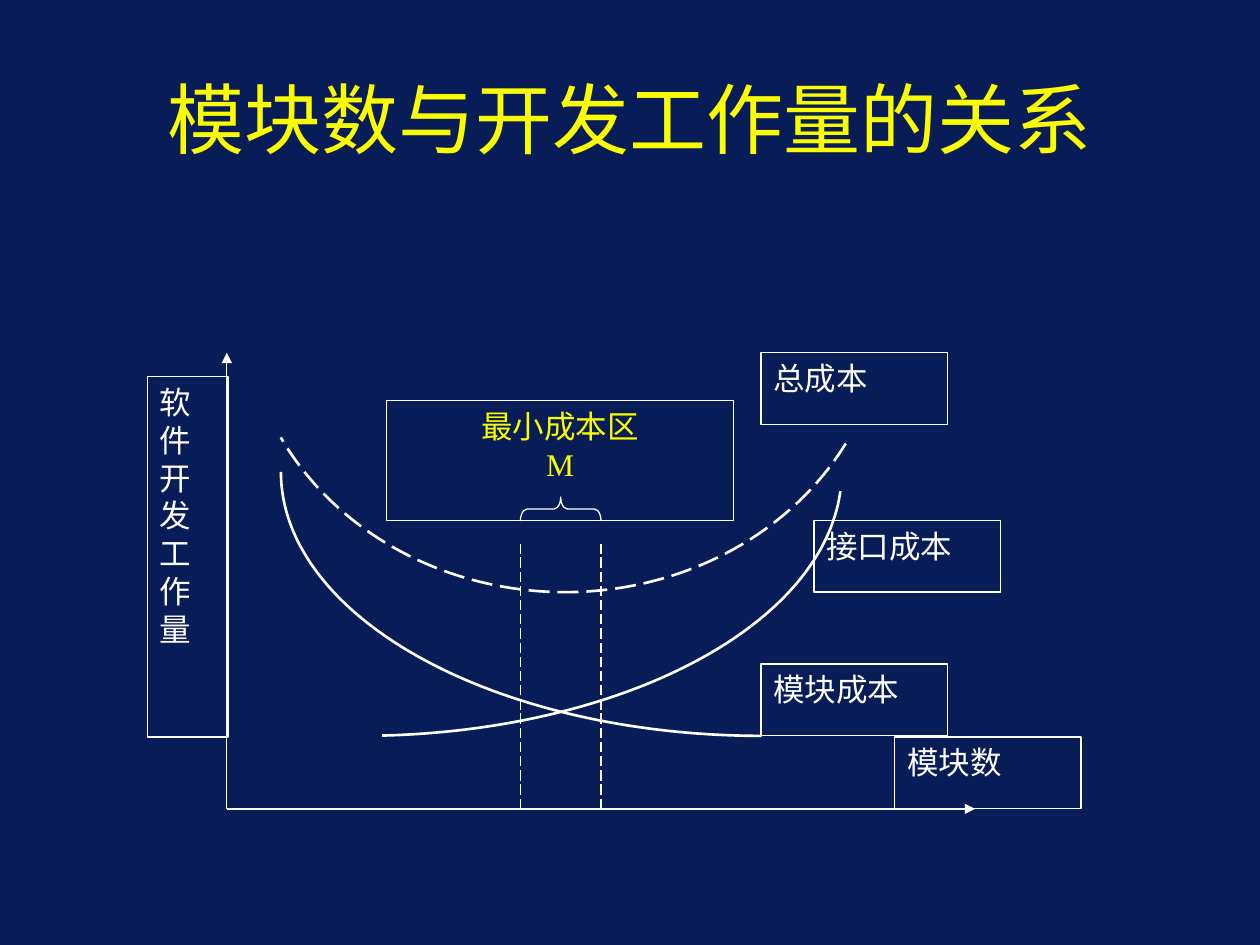
from lxml import etree
from pptx import Presentation
from pptx.dml.color import RGBColor
from pptx.enum.dml import MSO_LINE
from pptx.enum.shapes import MSO_CONNECTOR, MSO_SHAPE
from pptx.enum.text import MSO_ANCHOR, PP_ALIGN
from pptx.oxml.ns import qn
from pptx.util import Inches, Pt

NAVY = RGBColor(0x08, 0x1D, 0x58)
YELLOW = RGBColor(0xFA, 0xFD, 0x00)
WHITE = RGBColor(0xFF, 0xFF, 0xFF)
CJK_FONT = "Noto Sans CJK SC"
LATIN_FONT = "Times New Roman"
LONG_DASH = MSO_LINE.LONG_DASH
STRAIGHT = MSO_CONNECTOR.STRAIGHT
RECTANGLE, ARC, LEFT_BRACE = MSO_SHAPE.RECTANGLE, MSO_SHAPE.ARC, MSO_SHAPE.LEFT_BRACE
TOP, MIDDLE = MSO_ANCHOR.TOP, MSO_ANCHOR.MIDDLE
CENTER, JUSTIFY = PP_ALIGN.CENTER, PP_ALIGN.JUSTIFY

ORIGIN = (1.8, 6.42)
LABEL_SIZE = (1.48, 0.57)
ZONE_EDGES = (4.13, 4.77)
ARC_UNITS_PER_DEGREE = 0.6


def format_text(shape, lines, align, anchor, size, color, name):
    """Write one paragraph per line with a shared format."""
    frame = shape.text_frame
    frame.word_wrap = True
    frame.vertical_anchor = anchor
    frame.text = "\n".join(lines)
    formats = {"size": Pt(size), "name": name}
    for para in frame.paragraphs:
        para.alignment = align
        for span in para.runs:
            for key, value in formats.items():
                setattr(span.font, key, value)
            span.font.color.rgb = color
            properties = span.font._element
            etree.SubElement(properties, qn("a:ea"), typeface=CJK_FONT)


def format_line(shape, width=0.75, dash=None):
    """Give a shape or connector a white line."""
    shape.line.color.rgb = WHITE
    shape.line.width = Pt(width)
    if dash is not None:
        shape.line.dash_style = dash


def add_outline(slide, kind, at, width=0.75, dash=None):
    """Add an unfilled preset shape with a white line."""
    shape = slide.shapes.add_shape(kind, *map(Inches, at))
    shape.shadow.inherit = False
    shape.fill.background()
    format_line(shape, width, dash)
    return shape


def add_box(slide, at, lines, align=JUSTIFY, color=WHITE):
    """Add an outlined text box."""
    box = add_outline(slide, RECTANGLE, at)
    format_text(box, lines, align, TOP, 18, color, LATIN_FONT)


def add_curve(slide, at, angles, dash=None):
    """Add an elliptical arc between two angles in degrees."""
    curve = add_outline(slide, ARC, at, 1.5, dash)
    for index, angle in enumerate(angles):
        curve.adjustments[index] = angle * ARC_UNITS_PER_DEGREE


def add_line(slide, start, end, dash=None, arrow=False):
    """Add a straight line, optionally dashed or ending in an arrow."""
    line = slide.shapes.add_connector(STRAIGHT, *map(Inches, start + end))
    format_line(line, dash=dash)
    if arrow:
        etree.SubElement(line.line._get_or_add_ln(), qn("a:tailEnd"), type="triangle")
    etree.SubElement(line._element.spPr, qn("a:effectLst"))


def add_brace(slide):
    """Add the upward brace that spans the minimum cost zone."""
    left, right = ZONE_EDGES
    length, depth = right - left, 0.19
    center_x, center_y = (left + right) / 2, 4.04
    at = (center_x - depth / 2, center_y - length / 2, depth, length)
    brace = add_outline(slide, LEFT_BRACE, at)
    brace.rotation = 90
    brace.adjustments[0] = 0.28


def add_title(slide, text):
    """Place and format the title placeholder."""
    title = slide.shapes.title
    place = {"left": 0.75, "top": 0.31, "width": 8.5, "height": 1.25}
    for key, value in place.items():
        setattr(title, key, Inches(value))
    format_text(title, [text], CENTER, MIDDLE, 44, YELLOW, CJK_FONT)


def main():
    """Build the slide on module count and development effort."""
    deck = Presentation()
    deck.slide_width, deck.slide_height = Inches(10), Inches(7.5)
    slide = deck.slides.add_slide(deck.slide_layouts[5])
    slide.background.fill.solid()
    slide.background.fill.fore_color.rgb = NAVY
    add_title(slide, "模块数与开发工作量的关系")

    add_box(slide, (7.1, 5.85) + LABEL_SIZE, ["模块数"])
    add_box(slide, (6.46, 4.13) + LABEL_SIZE, ["接口成本"])
    add_box(slide, (3.07, 3.18, 2.75, 0.95), ["最小成本区", "M"], CENTER, YELLOW)
    for tip in ((1.8, 2.8), (7.74, 6.42)):
        add_line(slide, ORIGIN, tip, arrow=True)
    for edge in ZONE_EDGES:
        add_line(slide, (edge, ORIGIN[1]), (edge, 4.32), LONG_DASH)
    add_brace(slide)

    add_curve(slide, (1.94, 0.13, 5.09, 4.57), (26.4, 154.9), LONG_DASH)
    add_curve(slide, (2.23, 1.65, 7.63, 4.19), (90, 180))
    add_curve(slide, (-0.95, 1.65, 7.63, 4.19), (2.3, 85.4))

    add_box(slide, (1.17, 2.99, 0.64, 2.86), ["软件开发工", "作", "量"])
    add_box(slide, (6.04, 2.8) + LABEL_SIZE, ["总成本"])
    add_box(slide, (6.04, 5.27) + LABEL_SIZE, ["模块成本"])
    deck.save("out.pptx")


if __name__ == "__main__":
    main()
